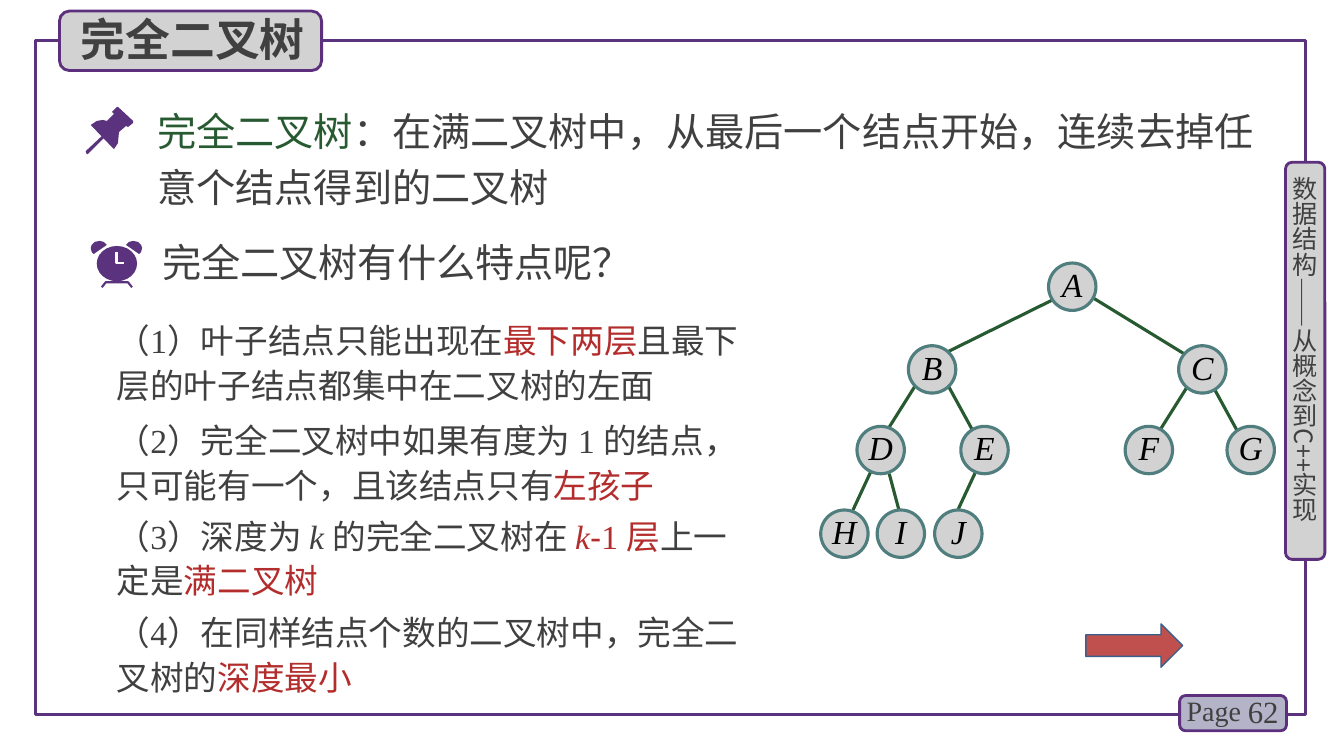
"""Builds the slide on complete binary trees."""
from lxml import etree
from pptx import Presentation
from pptx.dml.color import RGBColor
from pptx.enum import shapes, text
from pptx.oxml import ns
from pptx.util import Inches, Pt

SHAPE = shapes.MSO_SHAPE
SERIF, SANS = "Times New Roman", "Noto Sans CJK SC"
INK, RED, GREEN = "404040", "B42D2D", "285A32"
PURPLE, BORDER, GREY = "5A327D", "5C307D", "D2D2D2"

TITLE = "完全二叉树"
SIDE = "数据结构——从概念到C++实现"
QUESTION = "完全二叉树有什么特点呢？"
DEFINITION = [("完全二叉树", {"color": GREEN}),
              "：在满二叉树中，从最后一个结点开始，连续去掉任意个结点得到的二叉树"]
FEATURES = [
    (3.08, ["（1）叶子结点只能出现在", ("最下两层", {"color": RED}),
            "且最下层的叶子结点都集中在二叉树的左面"]),
    (4.07, ["（2）完全二叉树中如果有度为 1 的结点，只可能有一个，且该结点只有",
            ("左孩子", {"color": RED})]),
    (5.02, ["（3）深度为 ", ("k ", {"italic": True}), "的完全二叉树在 ",
            ("k", {"color": RED, "italic": True}),
            ("-", {"color": RED, "name": "Arial"}), ("1 层", {"color": RED}),
            "上一定是", ("满二叉树", {"color": RED})]),
    (5.98, ["（4）在同样结点个数的二叉树中，完全二叉树的",
            ("深度最小", {"color": RED})]),
]

NODE = 0.47
LEVELS = [
    (2.61, {"A": 10.4}),
    (3.43, {"B": 9.01, "C": 11.69}),
    (4.23, {"D": 8.5, "E": 9.53, "F": 11.16, "G": 12.17}),
    (5.06, {"H": 8.14, "I": 8.7, "J": 9.27}),
]
EDGES = {
    "AB": (10.43, 2.98, 9.34, 3.52), "AC": (10.8, 2.93, 11.81, 3.55),
    "BD": (9.12, 3.76, 8.78, 4.3), "BE": (9.39, 3.8, 9.68, 4.33),
    "CF": (11.78, 3.83, 11.44, 4.37), "CG": (12.05, 3.87, 12.34, 4.4),
    "DH": (8.66, 4.63, 8.46, 5.06), "DI": (8.82, 4.7, 8.94, 5.15),
    "EJ": (9.7, 4.63, 9.5, 5.06),
}

PIN_HEAD = [(1.32, 1.2), (1.17, 1.06), (1.16, 1.06), (1.11, 1.11),
            (1.13, 1.13), (1.06, 1.2), (1.02, 1.19), (0.96, 1.2),
            (0.9, 1.24), (1.13, 1.48), (1.17, 1.42), (1.18, 1.31),
            (1.25, 1.25), (1.27, 1.26), (1.32, 1.22)]
PIN_NEEDLE = [(0.86, 1.53), (0.85, 1.5), (1.01, 1.35), (1.03, 1.35),
              (1.03, 1.37), (0.87, 1.53)]
CLOCK_CENTRE = 1.155
CLOCK_BELL = [(0.93, 2.52), (0.91, 2.5), (0.9, 2.46), (0.91, 2.43),
              (0.94, 2.4), (0.99, 2.39), (1.03, 2.4), (1.06, 2.43)]
CLOCK_FEET = [(1.01, 2.85), (1.05, 2.8), (1.27, 2.8), (1.31, 2.85)]
CLOCK_HANDS = [(1.16, 2.5), (1.16, 2.61), (1.23, 2.61)]


def rgb(value):
    return RGBColor.from_string(value)


def paint(sp, fill=None, line=None, width=1):
    sp.shadow.inherit = False
    if fill:
        sp.fill.solid()
        sp.fill.fore_color.rgb = rgb(fill)
    else:
        sp.fill.background()
    if line:
        sp.line.color.rgb = rgb(line)
        sp.line.width = Pt(width)
    else:
        sp.line.fill.background()
    return sp


def add_shape(s, kind, box, *style):
    return paint(s.shapes.add_shape(kind, *map(Inches, box)), *style)


def add_outline(s, points, closed, *style):
    start, *rest = [(Inches(x), Inches(y)) for x, y in points]
    builder = s.shapes.build_freeform(*start)
    builder.add_line_segments(rest, close=closed)
    return paint(builder.convert_to_shape(), *style)


def write(sp, runs, size, name=SERIF, color=INK, spacing=None, bold=False,
          italic=False, align=text.PP_ALIGN.LEFT, inset=(0.1, 0.05),
          anchor=text.MSO_ANCHOR.TOP):
    tf = sp.text_frame
    tf.word_wrap = True
    tf.auto_size = text.MSO_AUTO_SIZE.NONE
    tf.vertical_anchor = anchor
    tf.margin_left = tf.margin_right = Inches(inset[0])
    tf.margin_top = tf.margin_bottom = Inches(inset[1])
    p = tf.paragraphs[0]
    p.alignment = align
    if spacing:
        p.line_spacing = Pt(spacing)
    font = p.font
    font.size, font.name, font.bold, font.italic = Pt(size), name, bold, italic
    font.color.rgb = rgb(color)
    east = etree.SubElement(p._p.pPr.find(ns.qn("a:defRPr")), ns.qn("a:ea"))
    east.set("typeface", SANS)
    for run in runs:
        words, style = (run, {}) if isinstance(run, str) else run
        r = p.add_run()
        r.text = words
        for key, value in style.items():
            if key == "color":
                r.font.color.rgb = rgb(value)
            else:
                setattr(r.font, key, value)
    return tf


def add_text(s, box, runs, size, **style):
    return write(s.shapes.add_textbox(*map(Inches, box)), runs, size, **style)


def add_frame(s):
    add_shape(s, SHAPE.RECTANGLE, (0.35, 0.4, 12.6, 6.69), None, PURPLE, 2.25)
    for box, fill in [((11.7, 6.9, 1.06, 0.35), "B4B4C8"),
                      ((12.75, 1.61, 0.39, 3.94), GREY),
                      ((0.59, 0.11, 2.6, 0.59), GREY)]:
        add_shape(s, SHAPE.ROUNDED_RECTANGLE, box, fill, BORDER, 2)
    add_text(s, (12.07, 6.86, 0.71, 0.4), ["62"], 22,
             align=text.PP_ALIGN.RIGHT, anchor=text.MSO_ANCHOR.MIDDLE)
    add_text(s, (11.67, 6.83, 0.78, 0.44), ["Page"], 20)
    tf = add_text(s, (12.79, 1.75, 0.3, 3.78), [SIDE], 18, name=SANS,
                  inset=(0, 0))
    tf._txBody.bodyPr.set("vert", "eaVert")


def add_title(s):
    title = s.shapes.title
    title.left, title.top = Inches(0.7), Inches(0.07)
    title.width, title.height = Inches(2.5), Inches(0.64)
    write(title, [TITLE], 32, name=SANS, bold=True)
    s.shapes._spTree.append(title._element)


def add_icons(s):
    mirrored = [(2 * CLOCK_CENTRE - x, y) for x, y in CLOCK_BELL]
    for points in (PIN_HEAD, PIN_NEEDLE, CLOCK_BELL, mirrored):
        add_outline(s, points, True, PURPLE)
    add_shape(s, SHAPE.OVAL, (0.96, 2.44, 0.4, 0.35), PURPLE)
    add_outline(s, CLOCK_FEET, False, None, PURPLE, 1.5)
    add_outline(s, CLOCK_HANDS, False, None, "FFFFFF", 2)


def add_tree(s):
    for ends in EDGES.values():
        edge = s.shapes.add_connector(shapes.MSO_CONNECTOR.STRAIGHT,
                                      *map(Inches, ends))
        edge.line.color.rgb = rgb(GREEN)
        edge.line.width = Pt(2.25)
        etree.SubElement(edge._element.spPr, ns.qn("a:effectLst"))
    for top, nodes in LEVELS:
        for letter, left in nodes.items():
            node = add_shape(s, SHAPE.OVAL, (left, top, NODE, NODE),
                             GREY, "507D7D", 2.25)
            write(node, [letter], 24, color="000000", spacing=25, italic=True,
                  align=text.PP_ALIGN.CENTER, inset=(0, 0),
                  anchor=text.MSO_ANCHOR.MIDDLE)


def main():
    prs = Presentation()
    prs.slide_width, prs.slide_height = Inches(13.33), Inches(7.5)
    s = prs.slides.add_slide(prs.slide_layouts[5])
    add_frame(s)
    add_title(s)
    add_icons(s)
    add_text(s, (1.56, 0.93, 11.11, 1.22), DEFINITION, 28, spacing=40,
             inset=(0, 0.05))
    add_text(s, (1.51, 2.32, 5.24, 0.57), [QUESTION], 28, name=SANS)
    for top, runs in FEATURES:
        add_text(s, (1.06, top, 6.51, 0.97), runs, 24, spacing=32)
    add_tree(s)
    add_shape(s, SHAPE.RIGHT_ARROW, (10.77, 6.19, 0.96, 0.43),
              "C0504D", "3A5F8C", 1)
    prs.save("out.pptx")


if __name__ == "__main__":
    main()
